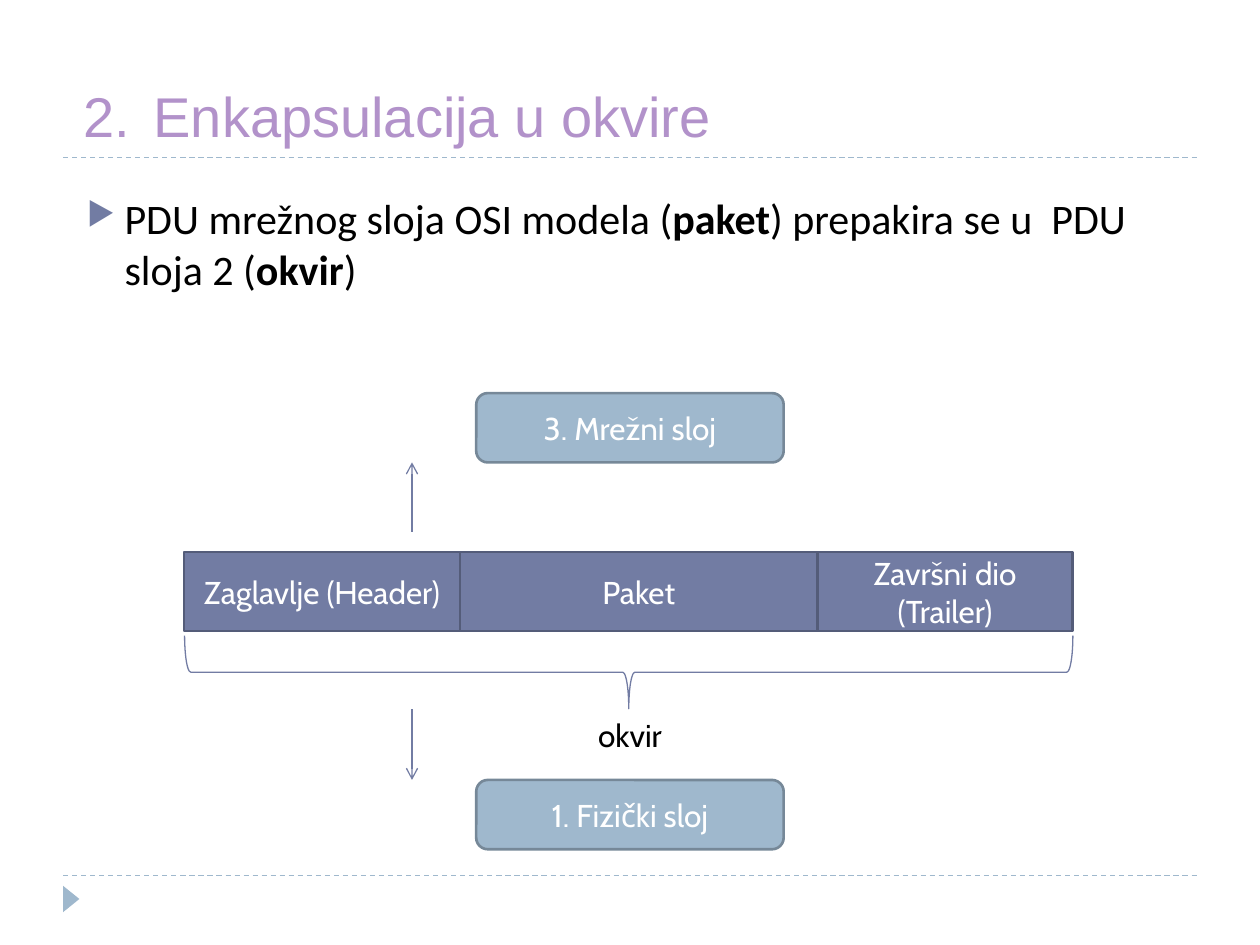
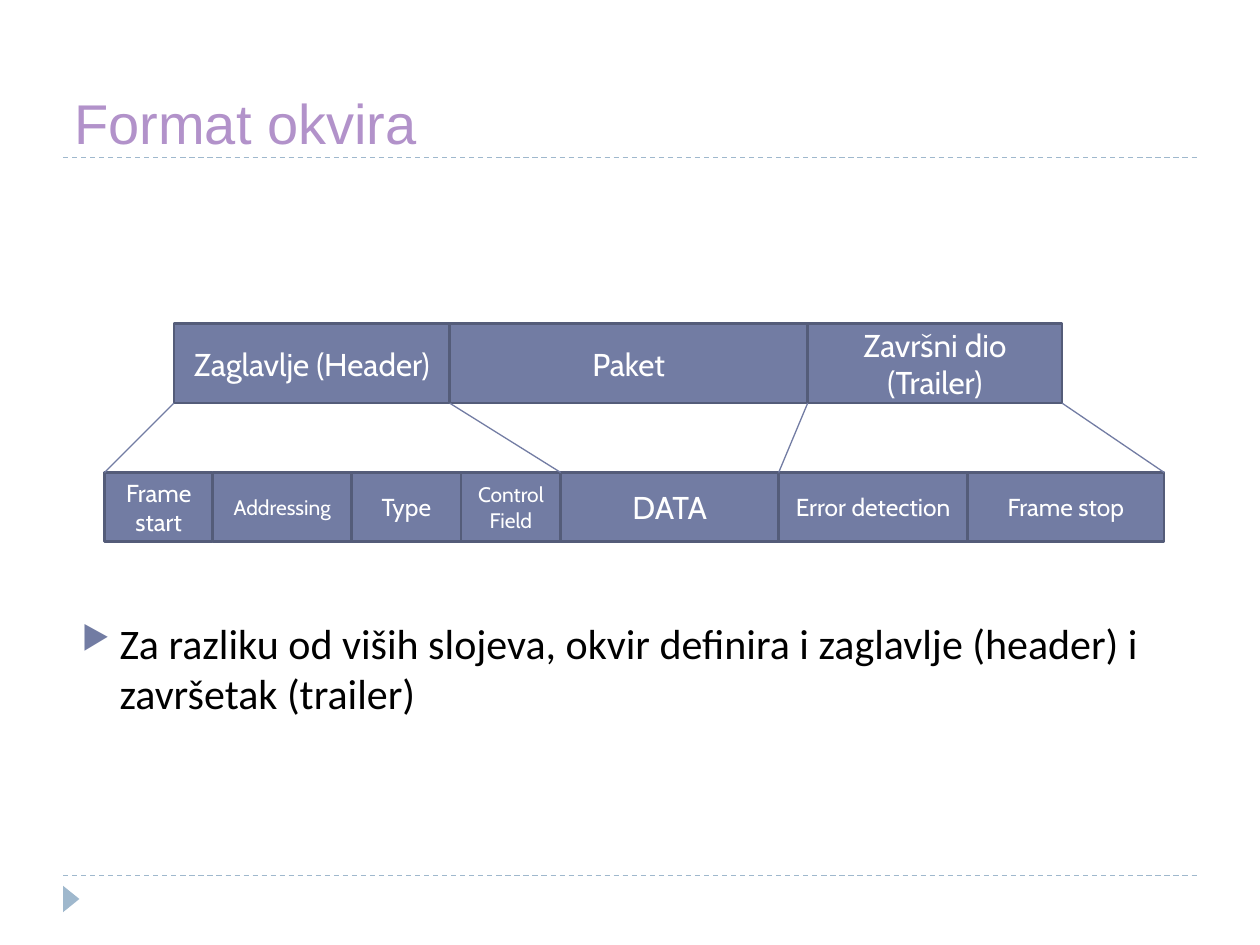
import itertools

import lxml.etree as etree
import pptx
import pptx.dml.color
import pptx.enum.dml
import pptx.enum.shapes
import pptx.enum.text
import pptx.oxml.ns
import pptx.util

PX = 9144  # 100 px to the inch
COLORS = {
    "title": "B292CA",
    "text": "000000",
    "light_text": "FFFFFF",
    "field": "727CA3",
    "field_edge": "545C79",
    "layer": "9FB8CD",
    "layer_edge": "768898",
}
FRAME_FIELDS = [
    ("Zaglavlje (Header)", 219, 18),
    ("Paket", 284, 18),
    ("Završni dio (Trailer)", 202, 18),
]
DETAIL_FIELDS = [
    ("Frame start", 86, 14),
    ("Addressing", 110, 12),
    ("Type", 87, 14),
    ("Control Field", 79, 12),
    ("DATA", 173, 18),
    ("Error detection", 150, 14),
    ("Frame stop", 156, 14),
]
SHAPE = pptx.enum.shapes.MSO_SHAPE
ALIGN = pptx.enum.text.PP_ALIGN
ANCHOR = pptx.enum.text.MSO_ANCHOR


def px(*lengths):
    return [pptx.util.Emu(n * PX) for n in lengths]


def rgb(name):
    return pptx.dml.color.RGBColor.from_string(COLORS[name])


def add_xml(parent, tag, **attrs):
    return etree.SubElement(parent, pptx.oxml.ns.qn(tag), attrs)


class Deck:
    def __init__(self):
        self.prs = pptx.Presentation()
        self.prs.slide_width, self.prs.slide_height = px(1000, 750)
        self.s = None

    def new_slide(self):
        """Start a title-only slide with the shared rules and corner mark."""
        self.s = self.prs.slides.add_slide(self.prs.slide_layouts[5])
        for y in (695, 125):
            self.line(50, y, 950, y, "layer", dashed=True)
        self.shape(SHAPE.ISOSCELES_TRIANGLE, (46, 707, 21, 13), "layer", rotation=90)

    def style(self, p, font, size, color, align=ALIGN.LEFT):
        p.alignment = align
        for r in p.runs:
            r.font.name = font
            r.font.size = pptx.util.Pt(size)
            r.font.color.rgb = rgb(color)

    def hang(self, p, indent):
        """Set a hanging indent and return the paragraph properties."""
        pPr = p._p.get_or_add_pPr()
        pPr.set("marL", str(indent * PX))
        pPr.set("indent", str(-indent * PX))
        return pPr

    def title(self, text, box, anchor, number=None):
        sp = self.s.shapes.title
        sp.left, sp.top, sp.width, sp.height = px(*box)
        tf = sp.text_frame
        tf.text = text
        tf.auto_size = pptx.enum.text.MSO_AUTO_SIZE.NONE
        tf.vertical_anchor = anchor
        p = tf.paragraphs[0]
        if number:
            add_xml(self.hang(p, 56), "a:buAutoNum", type="arabicPeriod", startAt=str(number))
        self.style(p, "Arial", 32, "title")

    def textbox(self, box):
        tf = self.s.shapes.add_textbox(*px(*box)).text_frame
        tf.word_wrap = True
        return tf.paragraphs[0]

    def bullet(self, text, box):
        """Add a bulleted paragraph; parts between ** are bold."""
        p = self.textbox(box)
        pPr = self.hang(p, 30)
        add_xml(add_xml(pPr, "a:buClr"), "a:srgbClr", val=COLORS["field"])
        add_xml(pPr, "a:buSzPct", val="76000")
        add_xml(pPr, "a:buChar", char="▶")
        for i, part in enumerate(text.split("**")):
            r = p.add_run()
            r.text = part
            r.font.bold = i % 2 == 1
        self.style(p, "Calibri", 24, "text")

    def label(self, text, box):
        p = self.textbox(box)
        p.text = text
        self.style(p, "Cabin", 18, "text", ALIGN.CENTER)

    def shape(self, kind, box, fill=None, edge=None, width=1.5, rotation=0):
        sp = self.s.shapes.add_shape(kind, *px(*box))
        sp.shadow.inherit = False
        sp.rotation = rotation
        if fill:
            sp.fill.solid()
            sp.fill.fore_color.rgb = rgb(fill)
        else:
            sp.fill.background()
        if edge:
            sp.line.color.rgb = rgb(edge)
            sp.line.width = pptx.util.Pt(width)
        else:
            sp.line.fill.background()
        return sp

    def block(self, text, box, kind, color, size=18):
        tf = self.shape(kind, box, color, color + "_edge").text_frame
        tf.text = text
        tf.word_wrap = True
        tf.vertical_anchor = ANCHOR.MIDDLE
        self.style(tf.paragraphs[0], "Cabin", size, "light_text", ALIGN.CENTER)

    def layer(self, text, y):
        self.block(text, (378, y, 244, 55), SHAPE.ROUNDED_RECTANGLE, "layer")

    def field_row(self, fields, left, top, height):
        """Draw adjoining fields and return the x of every edge."""
        edges = list(itertools.accumulate((w for _, w, _ in fields), initial=left))
        for x, (text, width, size) in zip(edges, fields):
            self.block(text, (x, top, width, height), SHAPE.RECTANGLE, "field", size)
        return edges

    def line(self, x1, y1, x2, y2, color="field", dashed=False, arrow=False):
        kind = pptx.enum.shapes.MSO_CONNECTOR.STRAIGHT
        c = self.s.shapes.add_connector(kind, *px(x1, y1, x2, y2))
        c.line.color.rgb = rgb(color)
        c.line.width = pptx.util.Pt(0.75)
        if dashed:
            c.line.dash_style = pptx.enum.dml.MSO_LINE.DASH
        spPr = c.element.spPr
        if arrow:
            add_xml(spPr.find(pptx.oxml.ns.qn("a:ln")), "a:tailEnd", type="arrow")
        add_xml(spPr, "a:effectLst")


def encapsulation_slide(deck):
    deck.new_slide()
    deck.title("Enkapsulacija u okvire", (56, 60, 658, 64), ANCHOR.TOP, number=2)
    deck.bullet(
        "PDU mrežnog sloja OSI modela (**paket**) prepakira se u  PDU sloja 2 (**okvir**)",
        (59, 148, 882, 91),
    )
    deck.layer("3. Mrežni sloj", 312)
    deck.field_row(FRAME_FIELDS, 146, 438, 63)
    deck.layer("1. Fizički sloj", 619)
    deck.shape(SHAPE.RIGHT_BRACE, (470, 181, 58, 705), edge="field", width=0.75, rotation=90)
    deck.label("okvir", (437, 563, 126, 40))
    for start, end in ((422, 367), (563, 619)):
        deck.line(327, start, 327, end, arrow=True)


def frame_format_slide(deck):
    deck.new_slide()
    deck.title("Format okvira", (49, 21, 900, 108), ANCHOR.BOTTOM)
    frame = deck.field_row(FRAME_FIELDS, 138, 257, 63)
    detail = deck.field_row(DETAIL_FIELDS, 83, 375, 55)
    header_start, data_start, data_end, trailer_end = (detail[i] for i in (0, 4, 5, 7))
    for x1, x2 in zip(frame, (header_start, data_start, data_end, trailer_end)):
        deck.line(x1, 320, x2, 375)
    deck.bullet(
        "Za razliku od viših slojeva, okvir definira i zaglavlje (header) i završetak (trailer)",
        (55, 485, 882, 170),
    )


def main():
    deck = Deck()
    encapsulation_slide(deck)
    frame_format_slide(deck)
    deck.prs.save("out.pptx")


if __name__ == "__main__":
    main()
